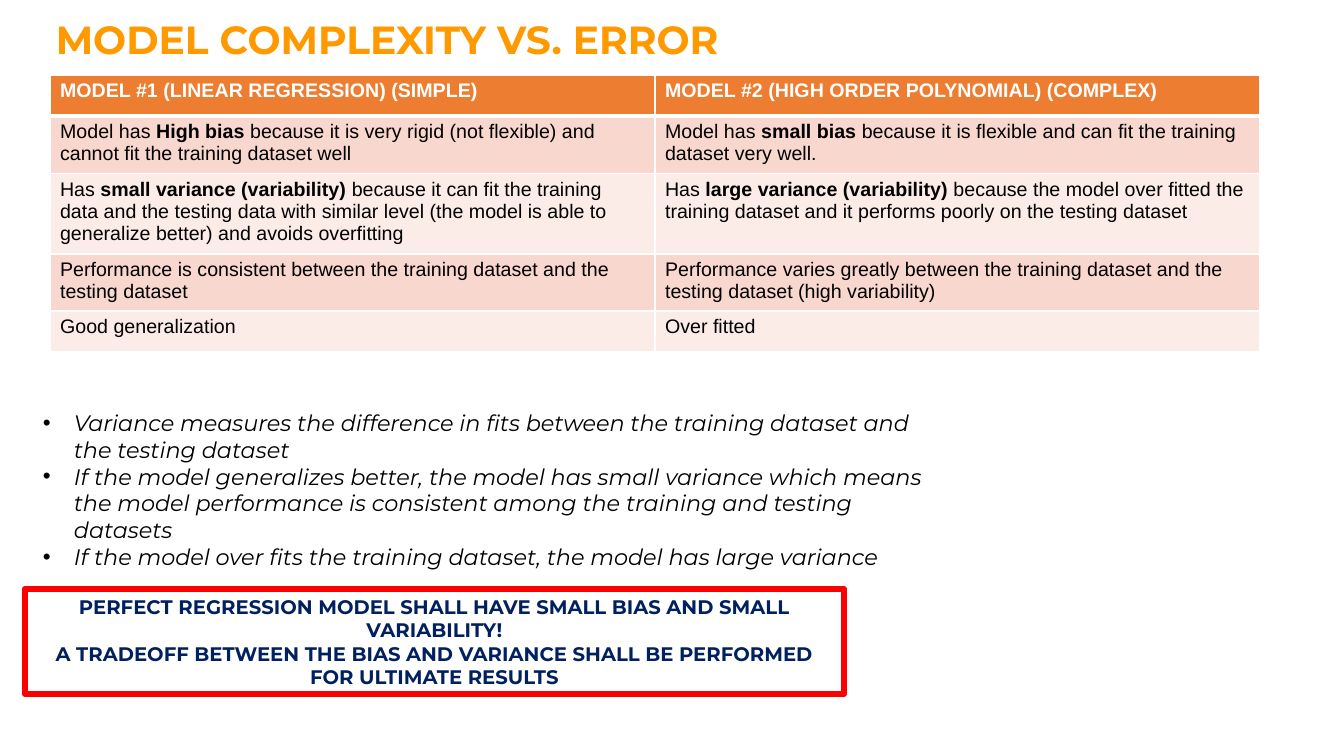
from lxml import etree
from pptx import Presentation
from pptx.dml.color import RGBColor
from pptx.enum.shapes import MSO_SHAPE
from pptx.enum.text import MSO_ANCHOR, PP_ALIGN
from pptx.oxml.ns import qn
from pptx.util import Pt

RECTANGLE = MSO_SHAPE.RECTANGLE
MIDDLE = MSO_ANCHOR.MIDDLE
CENTER = PP_ALIGN.CENTER

EMU_PER_PX = 914400 / 100.8
ORANGE = RGBColor(0xFF, 0x99, 0x00)
HEADER = RGBColor(0xED, 0x7D, 0x31)
BANDS = RGBColor(0xFC, 0xEC, 0xE8), RGBColor(0xF8, 0xD7, 0xCE)
WHITE = RGBColor(0xFF, 0xFF, 0xFF)
BLACK = RGBColor(0, 0, 0)
RED = RGBColor(0xFF, 0, 0)
NAVY = RGBColor(0, 0x20, 0x60)

ROW_HEIGHTS = 41, 57, 80, 57, 41
COMPARISON = [
    [["MODEL #1 (LINEAR REGRESSION) (SIMPLE)"],
     ["MODEL #2 (HIGH ORDER POLYNOMIAL) (COMPLEX)"]],
    [["Model has ", "High bias ",
      "because it is very rigid (not flexible) and cannot fit the training dataset well"],
     ["Model has ", "small bias ",
      "because it is flexible and can fit the training dataset very well."]],
    [["Has ", "small variance (variability) ",
      "because it can fit the training data and the testing data with similar level "
      "(the model is able to generalize better) and avoids overfitting"],
     ["Has ", "large variance (variability) ",
      "because the model over fitted the training dataset and it performs poorly "
      "on the testing dataset"]],
    [["Performance is consistent between the training dataset and the testing dataset"],
     ["Performance varies greatly between the training dataset and the testing dataset "
      "(high variability)"]],
    [["Good generalization"], ["Over fitted"]],
]
NOTES = [
    "Variance measures the difference in fits between the training dataset and the testing dataset",
    "If the model generalizes better, the model has small variance which means the model "
    "performance is consistent among the training and testing datasets",
    "If the model over fits the training dataset, the model has large variance",
]
CONCLUSION = [
    "PERFECT REGRESSION MODEL SHALL HAVE SMALL BIAS AND SMALL VARIABILITY!",
    "A TRADEOFF BETWEEN THE BIAS AND VARIANCE SHALL BE PERFORMED FOR ULTIMATE RESULTS",
]


def px(length):
    return round(length * EMU_PER_PX)


def set_font(font, name, size, color, bold=False, italic=False):
    font.name, font.size = name, Pt(size)
    font.bold, font.italic = bold, italic
    font.color.rgb = color


def write_lines(frame, lines, size, color, **style):
    frame.word_wrap = True
    for index, line in enumerate(lines):
        para = frame.add_paragraph() if index else frame.paragraphs[0]
        para.text = line
        set_font(para.font, "Montserrat", size, color, **style)


def add_title(page, box):
    title = page.shapes.add_textbox(*map(px, box))
    write_lines(title.text_frame, ["MODEL COMPLEXITY VS. ERROR"], 28, ORANGE, bold=True)


def add_borders(cell, top, bottom):
    properties = cell._tc.get_or_add_tcPr()
    for side, width in zip("LRTB", (1, 1, top, bottom)):
        line = etree.SubElement(properties, qn(f"a:ln{side}"), w=str(Pt(width)))
        fill = etree.SubElement(line, qn("a:solidFill"))
        etree.SubElement(fill, qn("a:srgbClr"), val=str(WHITE))


def add_comparison(page, box):
    left, top, width = box
    columns = len(COMPARISON[0])
    table = page.shapes.add_table(
        len(COMPARISON), columns, px(left), px(top), px(width), px(sum(ROW_HEIGHTS))).table
    for column in table.columns:
        column.width = px(width / columns)
    for row, (height, texts) in enumerate(zip(ROW_HEIGHTS, COMPARISON)):
        table.rows[row].height = px(height)
        is_header = row == 0
        for column, pieces in enumerate(texts):
            cell = table.cell(row, column)
            add_borders(cell, 3 if row == 1 else 1, 3 if is_header else 1)
            cell.fill.solid()
            cell.fill.fore_color.rgb = HEADER if is_header else BANDS[row % 2]
            para = cell.text_frame.paragraphs[0]
            set_font(para.font, "Arial", 14, WHITE if is_header else BLACK)
            for index, piece in enumerate(pieces):
                span = para.add_run()
                span.text = piece
                span.font.bold = is_header or index == 1


def add_notes(page, box):
    notes = page.shapes.add_textbox(*map(px, box))
    write_lines(notes.text_frame, NOTES, 16, BLACK, italic=True)
    for para in notes.text_frame.paragraphs:
        properties = para._p.get_or_add_pPr()
        properties.set("marL", str(px(31)))
        properties.set("indent", str(px(-31)))
        font = etree.Element(qn("a:buFont"), typeface="Arial")
        bullet = etree.Element(qn("a:buChar"), char="•")
        properties.insert(0, font)
        properties.insert(1, bullet)


def add_conclusion(page, box):
    panel = page.shapes.add_shape(RECTANGLE, *map(px, box))
    panel.shadow.inherit = False
    panel.fill.background()
    panel.line.color.rgb = RED
    panel.line.width = Pt(4.5)
    etree.SubElement(panel.line._get_or_add_ln(), qn("a:round"))
    panel.text_frame.vertical_anchor = MIDDLE
    write_lines(panel.text_frame, CONCLUSION, 14, NAVY, bold=True)
    for para in panel.text_frame.paragraphs:
        para.alignment = CENTER


def main():
    deck = Presentation()
    deck.slide_width, deck.slide_height = px(1344), px(756)
    page = deck.slides.add_slide(deck.slide_layouts[6])
    add_title(page, (46, 10, 1307, 64))
    add_comparison(page, (50, 75, 1210))
    add_notes(page, (33, 404, 902, 173))
    add_conclusion(page, (25, 589, 819, 105))
    deck.save("out.pptx")


if __name__ == "__main__":
    main()
